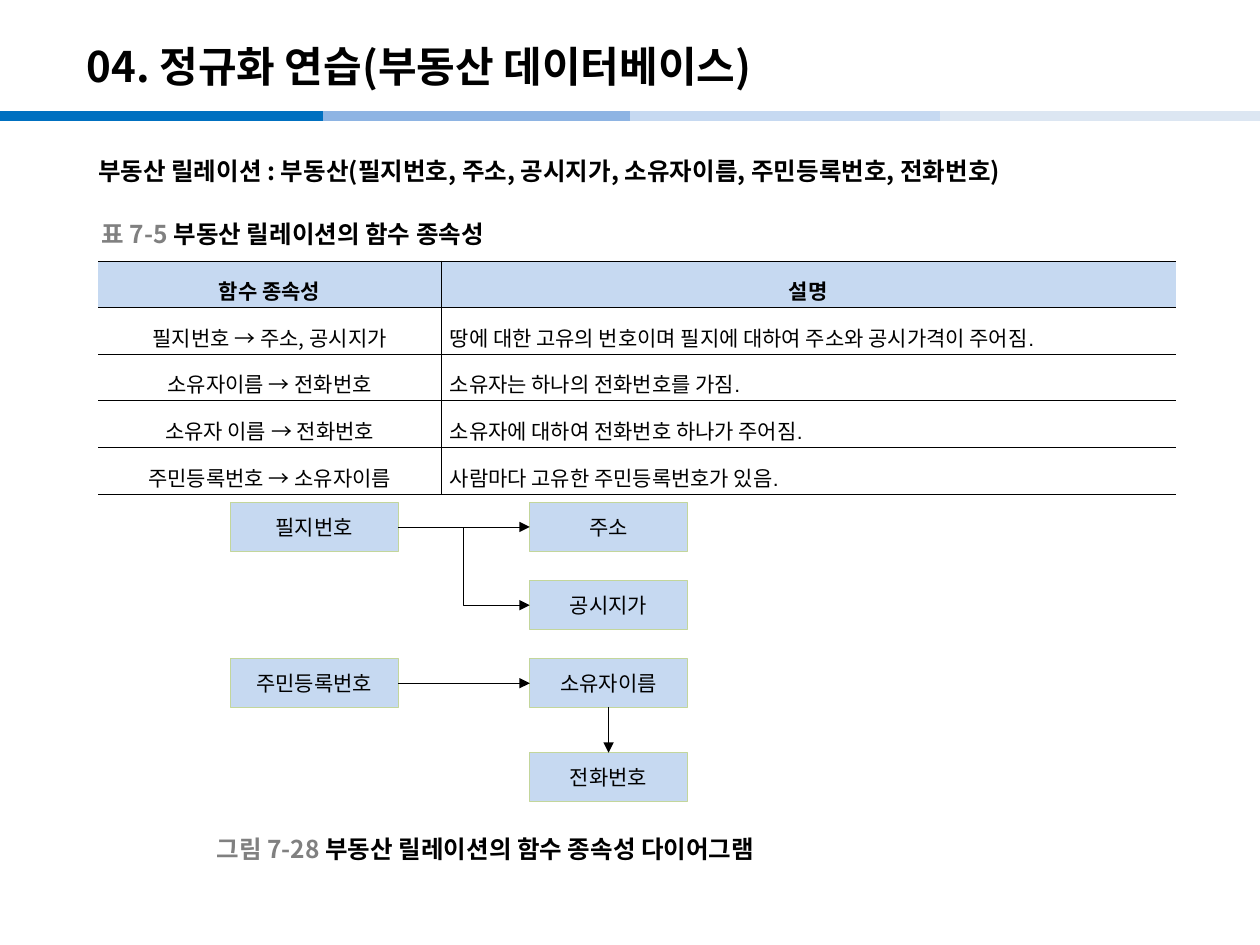
from lxml.etree import SubElement
from pptx import Presentation
from pptx.dml.color import RGBColor
from pptx.enum.shapes import MSO_CONNECTOR, MSO_SHAPE
from pptx.enum.text import MSO_ANCHOR, PP_ALIGN
from pptx.oxml.ns import qn
from pptx.util import Emu, Inches, Pt

SANS = "Noto Sans CJK KR"
UNIT = Inches(0.1)  # the slide is a grid of 100 columns by 75 rows
COLORS = {
    "ink": "000000", "gray": "808080", "fill": "C6D9F1", "edge": "C3D69B",
    "band1": "0070C0", "band2": "8EB4E3", "band3": "C6D9F1", "band4": "DCE6F2",
}
ROWS = [
    ("필지번호 ", "→ 주소, 공시지가",
     "땅에 대한 고유의 번호이며 필지에 대하여 주소와 공시가격이 주어짐."),
    ("소유자이름 ", "→ 전화번호", "소유자는 하나의 전화번호를 가짐."),
    ("소유자 이름 ", "→ 전화번호", "소유자에 대하여 전화번호 하나가 주어짐."),
    ("주민등록번호 ", "→ 소유자이름", "사람마다 고유한 주민등록번호가 있음."),
]


def grid(*steps):
    return [Emu(round(step * UNIT)) for step in steps]


def color(name):
    return RGBColor.from_string(COLORS[name])


def add_run(para, text, size, tone="ink", bold=False, face=SANS):
    run = para.add_run()
    run.text = text
    font = run.font
    font.size, font.bold, font.name = Pt(size), bold, face
    font.color.rgb = color(tone)
    SubElement(font._element, qn("a:ea"), typeface=SANS)


def add_text(slide, box, parts, size, anchor=MSO_ANCHOR.MIDDLE):
    """Add one bold line made of (text, tone) parts."""
    frame = slide.shapes.add_textbox(*grid(*box)).text_frame
    frame.word_wrap = True
    frame.vertical_anchor = anchor
    for text, tone in parts:
        add_run(frame.paragraphs[0], text, size, tone, bold=True)


def add_line(slide, ends, tone, width, kind=MSO_CONNECTOR.STRAIGHT):
    line = slide.shapes.add_connector(kind, *grid(*ends))
    line.line.color.rgb = color(tone)
    line.line.width = Pt(width)
    SubElement(line._element.spPr, qn("a:effectLst"))
    return line


def add_bands(slide):
    for left, tone in zip((0, 25.6, 50, 74.6), ("band1", "band2", "band3", "band4")):
        add_line(slide, (left, 9.2, left + 25.6, 9.2), tone, 6)


def set_edges(cell, sides):
    """Rule the named sides of a cell and clear the others."""
    props = cell._tc.get_or_add_tcPr()
    for side in "LRTB":
        edge = SubElement(props, qn(f"a:ln{side}"), w=str(Pt(0.28)))
        if side in sides:
            fill = SubElement(edge, qn("a:solidFill"))
            SubElement(fill, qn("a:srgbClr"), val=COLORS["ink"])
        else:
            SubElement(edge, qn("a:noFill"))


def fill_cell(cell, parts, first, head):
    """Fill a cell with (text, face) parts."""
    set_edges(cell, "RTB" if first else "LTB")
    if head:
        cell.fill.solid()
        cell.fill.fore_color.rgb = color("fill")
    else:
        cell.fill.background()
    cell.vertical_anchor = MSO_ANCHOR.MIDDLE
    cell.margin_left = cell.margin_right = Inches(0.07)
    cell.margin_top = cell.margin_bottom = Inches(0.02)
    para = cell.text_frame.paragraphs[0]
    para.line_spacing = 1.4
    para.alignment = PP_ALIGN.CENTER if first or head else PP_ALIGN.LEFT
    for text, face in parts:
        add_run(para, text, 12, bold=head, face=face)


def add_rules(slide):
    """Add the table of functional dependencies."""
    count = len(ROWS) + 1
    table = slide.shapes.add_table(count, 2, *grid(7.8, 20.7, 85.5, 3.7 * count)).table
    table.first_row = table.horz_banding = False
    for column, width in zip(table.columns, grid(27.2, 58.3)):
        column.width = width
    for text, cell in zip(("함수 종속성", "설명"), table.rows[0].cells):
        fill_cell(cell, [(text, "Arial")], text == "함수 종속성", True)
    for row, (key, result, note) in enumerate(ROWS, 1):
        fill_cell(table.cell(row, 0), [(key, "Arial"), (result, SANS)], True, False)
        fill_cell(table.cell(row, 1), [(note, "Arial")], False, False)


def add_node(slide, text, column, row):
    left, width = ((18.3, 13.3), (42.05, 12.5))[column]
    box = grid(left, 39.9 + 6.2 * row, width, 3.85)
    node = slide.shapes.add_shape(MSO_SHAPE.RECTANGLE, *box)
    node.shadow.inherit = False
    node.fill.solid()
    node.fill.fore_color.rgb = color("fill")
    node.line.color.rgb = color("edge")
    node.line.width = Pt(0.5)
    frame = node.text_frame
    frame.vertical_anchor = MSO_ANCHOR.MIDDLE
    frame.margin_left = frame.margin_right = Inches(0.04)
    frame.paragraphs[0].alignment = PP_ALIGN.CENTER
    add_run(frame.paragraphs[0], text, 12)
    return node


def add_arrow(slide, start, end, sites=(3, 1), kind=MSO_CONNECTOR.STRAIGHT):
    """Join two nodes; sites run 0 top, 1 left, 2 bottom, 3 right."""
    arrow = add_line(slide, (0, 0, 0, 0), "ink", 0.5, kind)
    arrow.begin_connect(start, sites[0])
    arrow.end_connect(end, sites[1])
    SubElement(arrow.line._get_or_add_ln(), qn("a:tailEnd"), type="triangle")


def add_diagram(slide):
    lot = add_node(slide, "필지번호", 0, 0)
    home = add_node(slide, "주소", 1, 0)
    price = add_node(slide, "공시지가", 1, 1)
    number = add_node(slide, "주민등록번호", 0, 2)
    owner = add_node(slide, "소유자이름", 1, 2)
    phone = add_node(slide, "전화번호", 1, 3.2)
    add_arrow(slide, lot, home)
    add_arrow(slide, lot, price, kind=MSO_CONNECTOR.ELBOW)
    add_arrow(slide, number, owner)
    add_arrow(slide, owner, phone, (2, 0))


def main():
    deck = Presentation()
    deck.slide_width, deck.slide_height = grid(100, 75)
    slide = deck.slides.add_slide(deck.slide_layouts[6])
    add_bands(slide)
    add_text(slide, (5.9, 2.2, 82.7, 6),
             [("04. 정규화 연습(부동산 데이터베이스)", "ink")], 24)
    add_text(slide, (6.8, 11.9, 87.3, 4),
             [("부동산 릴레이션 : 부동산(필지번호, 주소, 공시지가, 소유자이름, "
               "주민등록번호, 전화번호)", "ink")], 14, MSO_ANCHOR.TOP)
    add_text(slide, (7.1, 17, 36, 3.1),
             [("표 7-5 ", "gray"), ("부동산 릴레이션의 함수 종속성", "ink")], 14)
    add_rules(slide)
    add_diagram(slide)
    add_text(slide, (16.2, 65.8, 48, 3.1),
             [("그림 7-28 ", "gray"),
              ("부동산 릴레이션의 함수 종속성 다이어그램", "ink")], 14)
    deck.save("out.pptx")


if __name__ == "__main__":
    main()
